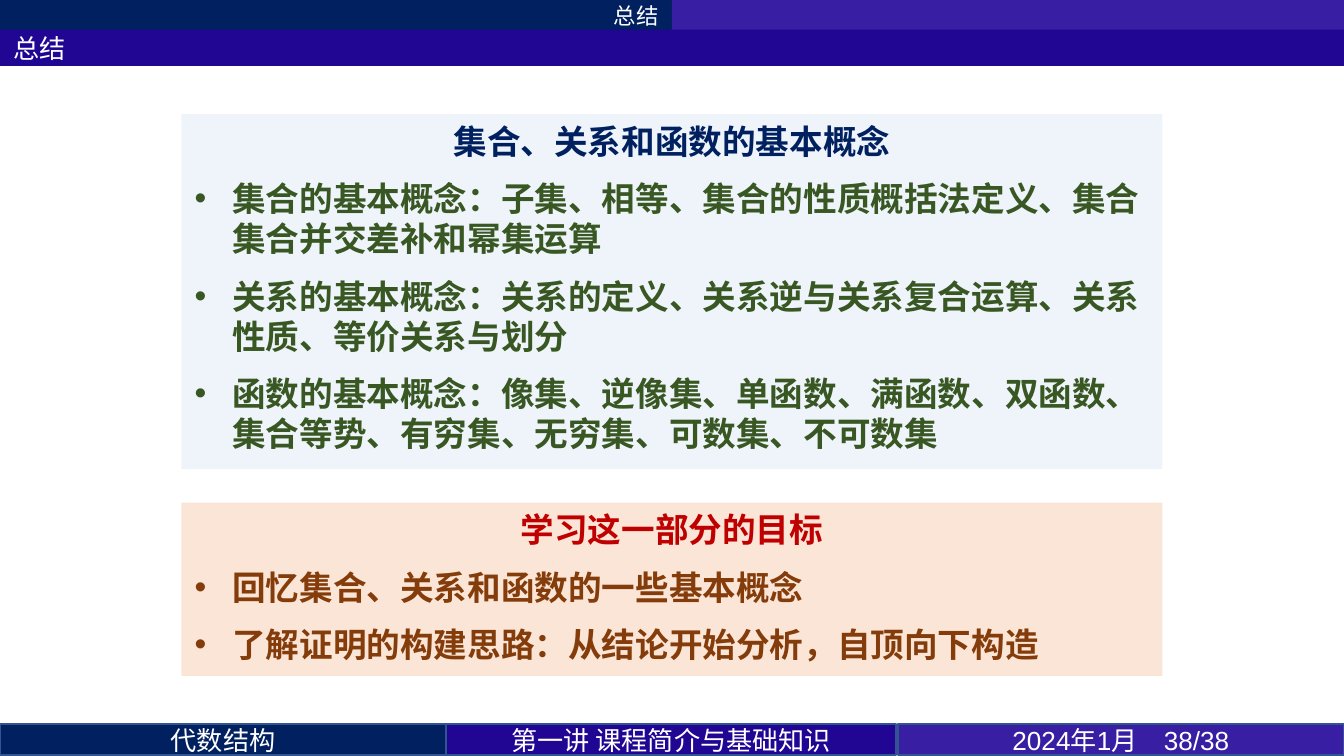
"""Build the summary slide of a lecture on sets, relations and functions."""
from lxml.etree import SubElement
from pptx import Presentation
from pptx.dml.color import RGBColor
from pptx.enum.shapes import MSO_SHAPE as Shape
from pptx.enum.text import MSO_ANCHOR as Anchor, MSO_AUTO_SIZE as AutoSize, PP_ALIGN as Align
from pptx.oxml.ns import qn
from pptx.util import Inches, Pt

WHITE = RGBColor(0xFF, 0xFF, 0xFF)
NAVY = RGBColor(0x00, 0x20, 0x60)
INDIGO = RGBColor(0x21, 0x06, 0x94)
VIOLET = RGBColor(0x37, 0x1E, 0xA2)
BORDER = RGBColor(0x32, 0x54, 0x91)
PALE_BLUE = RGBColor(0xDE, 0xEB, 0xF7)
PEACH = RGBColor(0xFB, 0xE5, 0xD6)
GREEN = RGBColor(0x38, 0x57, 0x23)
RED = RGBColor(0xC0, 0x00, 0x00)
BROWN = RGBColor(0x84, 0x3C, 0x0B)

CJK = "Noto Sans CJK SC"
GAP = Pt(4.5)

CONCEPTS = [
    "集合的基本概念：子集、相等、集合的性质概括法定义、集合集合并交差补和幂集运算",
    "关系的基本概念：关系的定义、关系逆与关系复合运算、关系性质、等价关系与划分",
    "函数的基本概念：像集、逆像集、单函数、满函数、双函数、集合等势、有穷集、无穷集、可数集、不可数集",
]
GOALS = [
    "回忆集合、关系和函数的一些基本概念",
    "了解证明的构建思路：从结论开始分析，自顶向下构造",
]
FOOTER = [
    (0, 3.32, NAVY, "代数结构", CJK),
    (3.32, 3.35, INDIGO, "第一讲 课程简介与基础知识", CJK),
    (6.68, 3.32, VIOLET, "2024年1月　38/38", "Arial"),
]


def add_block(slide, left, top, width, height, color):
    """Add a plain filled rectangle without outline or shadow."""
    block = slide.shapes.add_shape(
        Shape.RECTANGLE, Inches(left), Inches(top), Inches(width), Inches(height))
    block.shadow.inherit = False
    block.fill.solid()
    block.fill.fore_color.rgb = color
    block.line.fill.background()
    return block


def write(paragraph, text, size, color, font, align=Align.LEFT, bold=False):
    """Set the text of a paragraph and format its runs."""
    paragraph.text = text
    paragraph.alignment = align
    for run in paragraph.runs:
        run.font.size = Pt(size)
        run.font.bold = bold
        run.font.name = font
        run.font.color.rgb = color
        SubElement(run.font._element, qn("a:ea"), typeface=CJK)


def add_bullet(paragraph):
    """Give a paragraph a round bullet with a hanging indent."""
    properties = paragraph._p.get_or_add_pPr()
    properties.set("marL", str(Inches(0.28)))
    properties.set("indent", str(-Inches(0.28)))
    SubElement(properties, qn("a:buFont"), typeface="Arial")
    SubElement(properties, qn("a:buChar"), char="•")


def add_bar(slide, left, top, width, height, color, text, size, font, align):
    """Add a bar with one line of white text."""
    bar = add_block(slide, left, top, width, height, color)
    bar.text_frame.vertical_anchor = Anchor.MIDDLE
    write(bar.text_frame.paragraphs[0], text, size, WHITE, font, align)
    return bar


def add_panel(slide, top, height, fill, title, title_color, title_gap, items, item_color):
    """Add a panel with a centred title and a bulleted list."""
    panel = add_block(slide, 1.35, top, 7.3, height, fill)
    frame = panel.text_frame
    frame.word_wrap = True
    frame.auto_size = AutoSize.SHAPE_TO_FIT_TEXT
    frame.vertical_anchor = Anchor.TOP
    heading = frame.paragraphs[0]
    write(heading, title, 18, title_color, "Calibri", Align.CENTER, True)
    heading.space_before = title_gap
    heading.space_after = GAP
    for item in items:
        entry = frame.add_paragraph()
        write(entry, item, 18, item_color, CJK, bold=True)
        entry.space_before = entry.space_after = GAP
        add_bullet(entry)
    return panel


def set_opacity(shape, percent):
    """Make the solid fill of a shape partly transparent."""
    tint = shape.fill._xPr.find(qn("a:solidFill"))[0]
    SubElement(tint, qn("a:alpha"), val=str(percent * 1000))


def main():
    """Build the slide and save it."""
    deck = Presentation()
    deck.slide_width = Inches(10)
    deck.slide_height = deck.slide_width * 9 // 16
    slide = deck.slides.add_slide(deck.slide_layouts[6])

    concepts = add_panel(slide, 0.85, 2.64, PALE_BLUE, "集合、关系和函数的基本概念",
                         NAVY, GAP, CONCEPTS, GREEN)
    set_opacity(concepts, 50)
    add_panel(slide, 3.74, 1.29, PEACH, "学习这一部分的目标", RED, Pt(0), GOALS, BROWN)

    add_bar(slide, 0, 0, 5, 0.23, NAVY, "总结", 12, CJK, Align.RIGHT)
    add_block(slide, 5, 0, 5, 0.23, VIOLET)
    add_bar(slide, 0, 0.22, 10, 0.27, INDIGO, "总结", 14, "Calibri", Align.LEFT)

    for left, width, color, text, font in FOOTER:
        cell = add_bar(slide, left, 5.39, width, 0.23, color, text, 14, font, Align.CENTER)
        cell.line.color.rgb = BORDER
        cell.line.width = Pt(1)

    deck.save("out.pptx")


if __name__ == "__main__":
    main()
